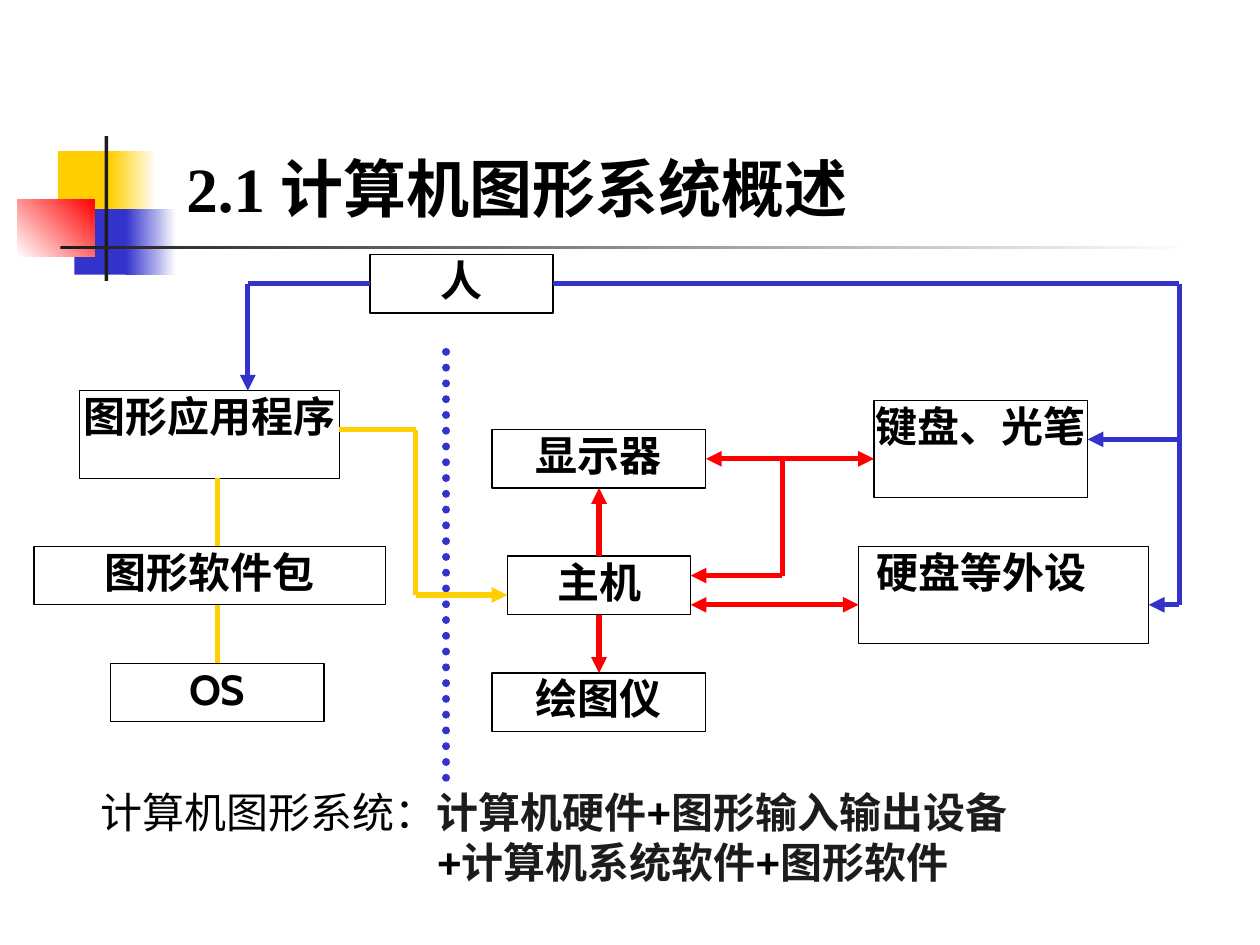
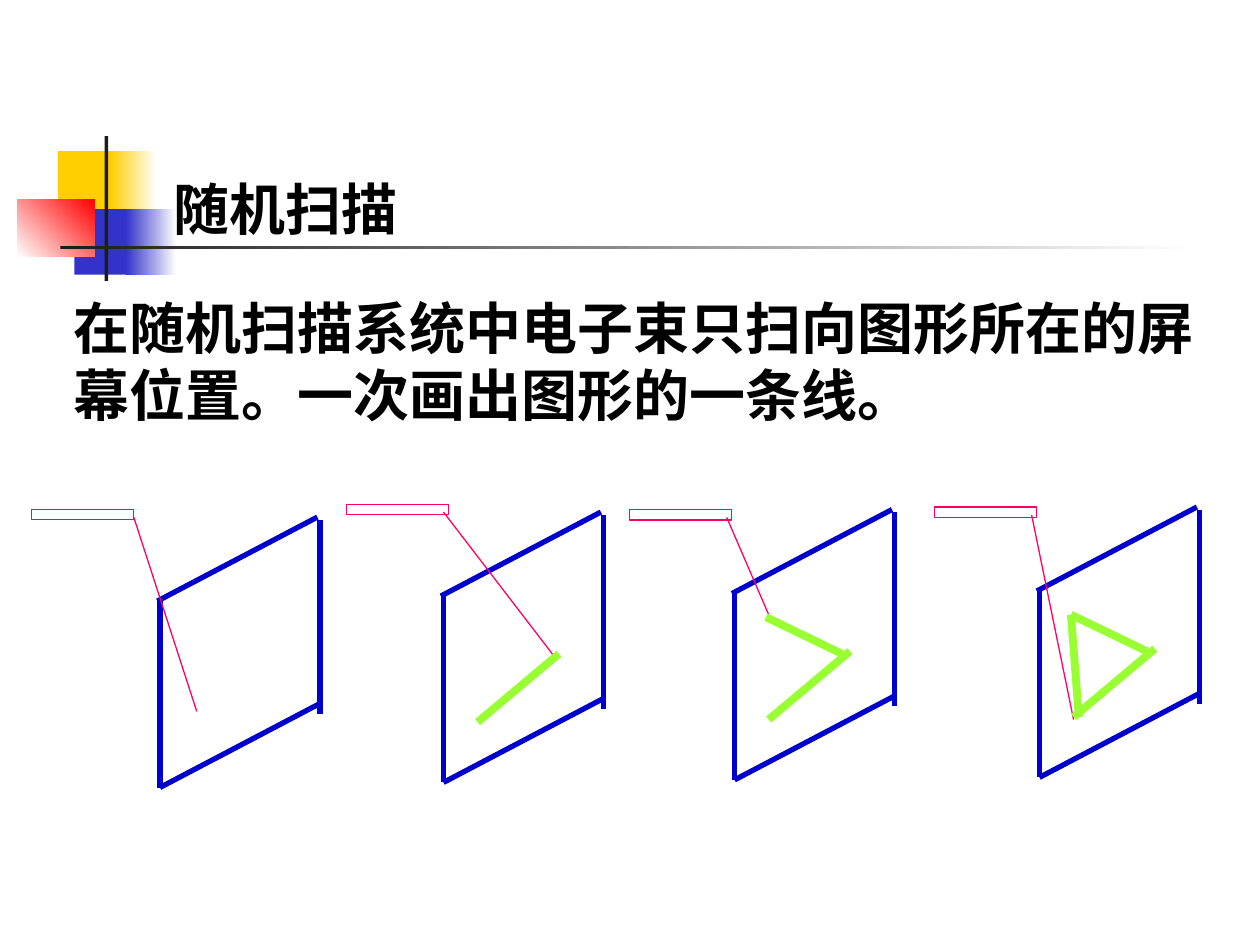
import dataclasses

import pptx
import pptx.dml.color
import pptx.enum.dml
import pptx.enum.shapes
import pptx.enum.text
import pptx.oxml.ns
import pptx.util
from lxml import etree

Inches, Pt = pptx.util.Inches, pptx.util.Pt
qn = pptx.oxml.ns.qn
RECT = pptx.enum.shapes.MSO_SHAPE.RECTANGLE
STRAIGHT = pptx.enum.shapes.MSO_CONNECTOR.STRAIGHT
ALIGN = pptx.enum.text.PP_ALIGN
ANCHOR = pptx.enum.text.MSO_ANCHOR


@dataclasses.dataclass(frozen=True)
class Theme:
    black: str = "000000"
    dark: str = "1C1C1C"
    white: str = "FFFFFF"
    gold: str = "FFCF01"
    blue: str = "3333CC"
    red: str = "FF0000"
    frame: str = "0000CC"
    beam: str = "FF0066"
    trace: str = "99FF33"
    serif: str = "Times New Roman"
    label: str = "Cabin"
    sans: str = "Arial"
    head: int = 36
    large: int = 32
    body: int = 24
    hair: float = 0.75
    wire: float = 3
    thick: float = 4.5


T = Theme()


@dataclasses.dataclass(frozen=True)
class Grid:
    """A box in inches, divided into columns and rows."""
    left: float
    top: float
    width: float
    height: float
    cols: int
    rows: int

    def point(self, x, y):
        return (Inches(self.left + x * self.width / self.cols),
                Inches(self.top + y * self.height / self.rows))

    def box(self, x, y, w, h):
        left, top = self.point(x, y)
        right, bottom = self.point(x + w, y + h)
        return left, top, right - left, bottom - top


PAGE = Grid(0, 0, 10, 7.5, 1000, 750)


def rgb(color):
    return pptx.dml.color.RGBColor.from_string(color)


def rect(slide, box, fill=None, line=None, fade=None, angle=0):
    shape = slide.shapes.add_shape(RECT, *box)
    shape.shadow.inherit = False
    if fade:
        shape.fill.gradient()
        shape.fill.gradient_angle = angle
        for stop, color in zip(shape.fill.gradient_stops, fade):
            stop.color.rgb = rgb(color)
    elif fill:
        shape.fill.solid()
        shape.fill.fore_color.rgb = rgb(fill)
    else:
        shape.fill.background()
    if line:
        shape.line.color.rgb = rgb(line)
        shape.line.width = Pt(T.hair)
    else:
        shape.line.fill.background()
    return shape


def rule(slide, start, end, color, width, ends=()):
    """Draw a straight line; ends names the arrowheads to add."""
    line = slide.shapes.add_connector(STRAIGHT, *start, *end)
    line.line.color.rgb = rgb(color)
    line.line.width = Pt(width)
    props = line._element.spPr
    for name in ends:
        etree.SubElement(props.find(qn("a:ln")), qn("a:" + name), type="triangle")
    etree.SubElement(props, qn("a:effectLst"))
    return line


def setup(frame, inset=(0, 0), anchor=ANCHOR.TOP):
    frame.word_wrap = True
    frame.vertical_anchor = anchor
    frame.margin_left = frame.margin_right = Inches(inset[0])
    frame.margin_top = frame.margin_bottom = Inches(inset[1])
    return frame


def write(para, text, font, size, color=T.black, bold=True):
    run = para.add_run()
    run.text = text
    run.font.name = font
    run.font.size = Pt(size)
    run.font.bold = bold
    run.font.color.rgb = rgb(color)


def note(slide, box, text, font, size, inset=(0, 0)):
    """Place one bold paragraph, centred on the height of its box."""
    frame = setup(slide.shapes.add_textbox(*box).text_frame, inset, ANCHOR.MIDDLE)
    write(frame.paragraphs[0], text, font, size)


def emblem(slide):
    """Draw the coloured squares and the rules beside the title."""
    grid = Grid(0.14, 1.08, 9.34, 1.15, 934, 115)
    rect(slide, grid.box(32, 12, 48, 52), T.gold)
    rect(slide, grid.box(74, 12, 36, 52), fade=(T.gold, T.white))
    rect(slide, grid.box(45, 58, 46, 52), T.blue)
    rect(slide, grid.box(86, 58, 40, 52), fade=(T.blue, T.white))
    rect(slide, grid.box(0, 50, 61, 46), fade=(T.white, T.red), angle=45)
    rect(slide, grid.box(69, 0, 3, 115), T.dark)
    rect(slide, grid.box(34, 87, 900, 3), fade=(T.dark, T.white))


NODES = [
    ("主机", 31, 31, 12, 6),
    ("显示器", 30, 18, 14, 6),
    ("键盘、光笔", 55, 15, 14, 10),
    ("硬盘等外设", 54, 30, 19, 10),
    ("绘图仪", 30, 43, 14, 6),
    ("人", 22, 0, 12, 6),
    ("OS", 5, 42, 14, 6),
    ("图形软件包", 0, 30, 23, 6),
    ("图形应用程序", 3, 14, 17, 9),
]
TO, BOTH = ("tailEnd",), ("headEnd", "tailEnd")
WIRES = [
    (T.red, [
        ((37, 37), (37, 43), TO), ((37, 31), (37, 24), TO),
        ((44, 21), (55, 21), BOTH), ((49, 21), (49, 33), ()),
        ((49, 33), (43, 33), TO), ((43, 36), (54, 36), BOTH)]),
    (T.gold, [
        ((12, 42), (12, 36), ()), ((12, 30), (12, 23), ()),
        ((20, 18), (25, 18), ()), ((25, 18), (25, 35), ()),
        ((25, 35), (31, 35), TO)]),
    (T.blue, [
        ((34, 3), (75, 3), ()), ((75, 3), (75, 36), ()),
        ((75, 19), (69, 19), TO), ((75, 36), (73, 36), TO),
        ((14, 3), (22, 3), ()), ((14, 3), (14, 14), TO)]),
]


def diagram(slide, grid):
    ports = {}
    for text, x, y, w, h in NODES:
        node = rect(slide, grid.box(x, y, w, h), line=T.black)
        frame = setup(node.text_frame)
        para = frame.paragraphs[0]
        para.alignment = ALIGN.CENTER
        if text == "硬盘等外设":
            para.alignment = ALIGN.LEFT
            frame.margin_left = Inches(0.14)
        write(para, text, T.label, T.body)
        mids = [(x + w / 2, y), (x, y + h / 2), (x + w / 2, y + h), (x + w, y + h / 2)]
        ports.update({mid: (node, side) for side, mid in enumerate(mids)})

    split = rule(slide, grid.point(27, 10), grid.point(27, 54), T.blue, T.thick)
    split.line.dash_style = pptx.enum.dml.MSO_LINE.ROUND_DOT
    split._element.spPr.find(qn("a:ln")).set("cap", "rnd")

    for color, group in WIRES:
        for start, end, ends in group:
            wire = rule(slide, grid.point(*start), grid.point(*end), color, T.wire, ends)
            if start in ports:
                wire.begin_connect(*ports[start])
            if end in ports:
                wire.end_connect(*ports[end])


def summary(slide, box):
    frame = setup(slide.shapes.add_textbox(*box).text_frame, (0.1, 0.05))
    first, second = frame.paragraphs[0], frame.add_paragraph()
    write(first, "计算机图形系统：", T.sans, T.body, bold=False)
    second._p.get_or_add_pPr().set("marL", str(Inches(2.67)))
    for para, words in ((first, ("计算机硬件", "+", "图形输入输出设备")),
                        (second, ("+", "计算机系统软件", "+", "图形软件"))):
        for word in words:
            write(para, word, T.sans, T.body, T.black if word == "+" else T.dark)


FRAME = [((-1, 1), (60, -31)), ((0, 0), (0, 72)),
         ((61, -30), (61, 44)), ((0, 72), (61, 40))]
TRACES = [((13, 49), (44, 23)), ((41, 24), (12, 10)), ((12, 10), (15, 49))]
# left, top, gun corner, beam start within the gun, beam target
PANELS = [
    (1.27, 4.75, (-49, -34), 39, (14, 43)),
    (3.52, 4.71, (-37, -34), 37, (43, 25)),
    (5.83, 4.69, (-40, -31), 37, (13, 9)),
    (8.25, 4.67, (-40, -31), 37, (13, 50)),
]


def panel(slide, grid, gun, reach, target, count):
    """Draw a screen, the electron gun and the first count traces."""
    for start, end in FRAME:
        rule(slide, grid.point(*start), grid.point(*end), T.frame, T.wire)
    rect(slide, grid.box(*gun, 39, 4), line=T.beam)
    rule(slide, grid.point(gun[0] + reach, gun[1] + 3), grid.point(*target),
         T.beam, T.hair)
    for start, end in TRACES[:count]:
        rule(slide, grid.point(*start), grid.point(*end), T.trace, T.thick)


def system(slide):
    note(slide, PAGE.box(138, 114, 732, 70), "2.1 计算机图形系统概述",
         T.serif, T.head, (0.1, 0.05))
    diagram(slide, Grid(0.27, 2.02, 9.09, 4.17, 75, 54))
    summary(slide, PAGE.box(70, 619, 839, 90))


def scan(slide):
    note(slide, PAGE.box(138, 139, 268, 53), "随机扫描", T.serif, T.large)
    note(slide, PAGE.box(58, 233, 915, 107),
         "在随机扫描系统中电子束只扫向图形所在的屏幕位置。一次画出图形的一条线。",
         T.label, T.large)
    for count, (left, top, gun, reach, target) in enumerate(PANELS):
        panel(slide, Grid(left, top, 1.27, 1.5, 61, 72), gun, reach, target, count)


def main():
    deck = pptx.Presentation()
    deck.slide_width, deck.slide_height = Inches(PAGE.width), Inches(PAGE.height)
    for fill in (system, scan):
        slide = deck.slides.add_slide(deck.slide_layouts[6])
        emblem(slide)
        fill(slide)
    deck.save("out.pptx")


if __name__ == "__main__":
    main()
